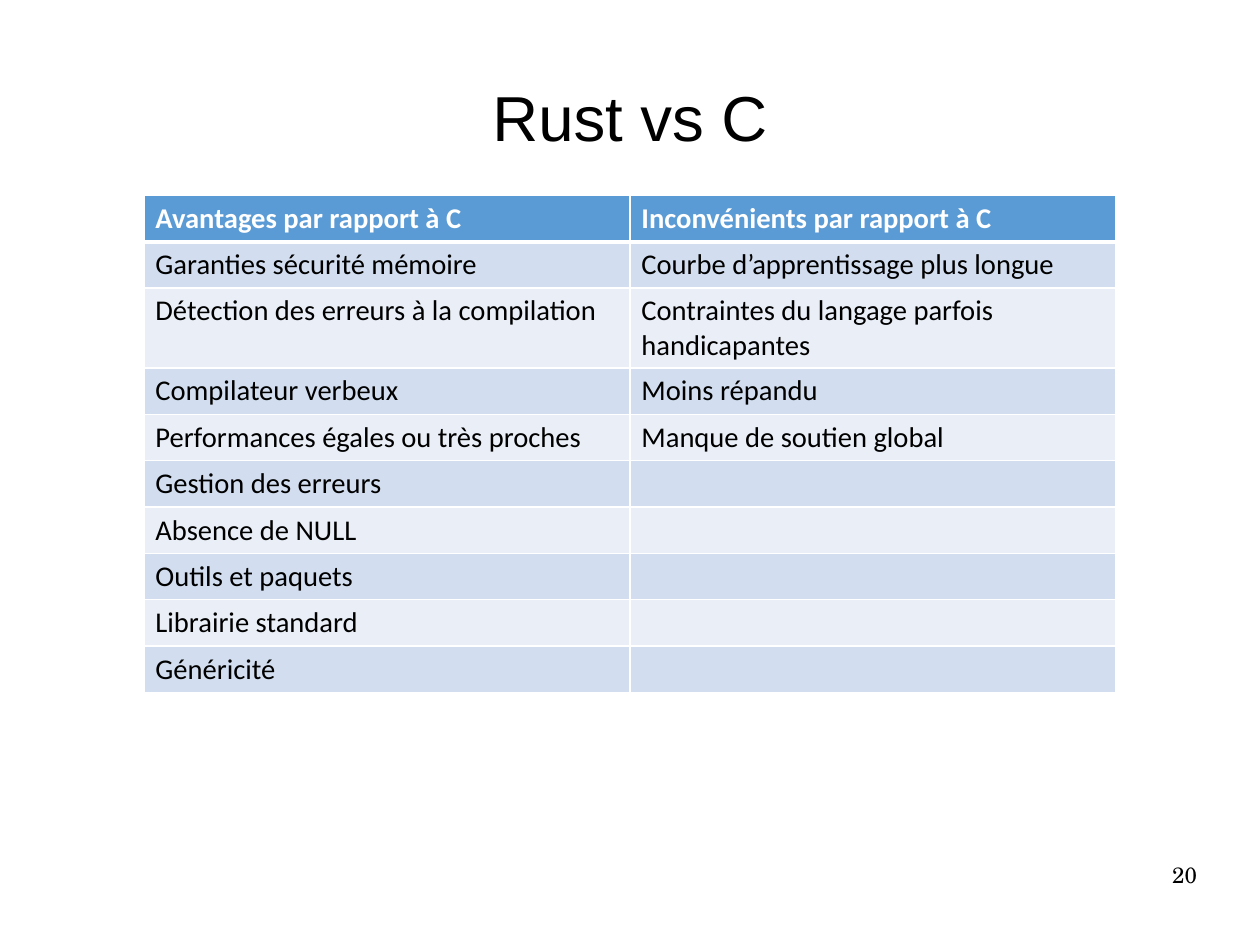
from itertools import zip_longest

from lxml.etree import SubElement
from pptx import Presentation
from pptx.dml.color import RGBColor
from pptx.enum.text import MSO_ANCHOR as Anchor, PP_ALIGN as Align
from pptx.oxml.ns import qn
from pptx.util import Cm, Pt

COLORS = {
    "black": "000000",
    "white": "FFFFFF",
    "header": "5B9BD5",
    "odd_row": "D2DEEF",
    "even_row": "EAEFF7",
}
ADVANTAGES = [
    "Avantages par rapport à C",
    "Garanties sécurité mémoire",
    "Détection des erreurs à la compilation",
    "Compilateur verbeux",
    "Performances égales ou très proches",
    "Gestion des erreurs",
    "Absence de NULL",
    "Outils et paquets",
    "Librairie standard",
    "Généricité",
]
DRAWBACKS = [
    "Inconvénients par rapport à C",
    "Courbe d’apprentissage plus longue",
    "Contraintes du langage parfois handicapantes",
    "Moins répandu",
    "Manque de soutien global",
]


class SlideBuilder:
    table_font = "Calibri"
    table_size = 18
    thin, thick = 1, 3

    def __init__(self, slide):
        self.slide = slide

    def add_run(self, paragraph, text, font, size, color="black", bold=False):
        run = paragraph.add_run()
        run.text = text
        run.font.name = font
        run.font.size = Pt(size)
        run.font.bold = bold
        run.font.color.rgb = RGBColor.from_string(COLORS[color])

    def add_text(self, box, text, font, size, align, anchor=Anchor.TOP):
        shape = self.slide.shapes.add_textbox(*map(Cm, box))
        frame = shape.text_frame
        frame.word_wrap = True
        frame.vertical_anchor = anchor
        frame.margin_left = frame.margin_right = 0
        frame.margin_top = frame.margin_bottom = 0
        paragraph = frame.paragraphs[0]
        paragraph.alignment = align
        self.add_run(paragraph, text, font, size)

    def add_borders(self, cell, top, bottom):
        properties = cell._tc.get_or_add_tcPr()
        widths = {"lnL": self.thin, "lnR": self.thin, "lnT": top, "lnB": bottom}
        for side, width in widths.items():
            line = SubElement(properties, qn(f"a:{side}"), w=str(Pt(width)))
            fill = SubElement(line, qn("a:solidFill"))
            SubElement(fill, qn("a:srgbClr"), val=COLORS["white"])

    def style_cell(self, cell, row, text):
        header = row == 0
        top = self.thick if row == 1 else self.thin
        self.add_borders(cell, top, self.thick if header else self.thin)
        fill = "header" if header else "odd_row" if row % 2 else "even_row"
        cell.fill.solid()
        cell.fill.fore_color.rgb = RGBColor.from_string(COLORS[fill])
        if text:
            self.add_run(cell.text_frame.paragraphs[0], text, self.table_font,
                         self.table_size, "white" if header else "black", header)

    def add_table(self, left, top, width, row_height, columns):
        rows = list(zip_longest(*columns, fillvalue=""))
        box = map(Cm, (left, top, width, row_height * len(rows)))
        table = self.slide.shapes.add_table(len(rows), len(columns), *box).table
        table.first_row = table.horz_banding = False
        for row, texts in enumerate(rows):
            table.rows[row].height = Cm(row_height)
            for column, text in enumerate(texts):
                self.style_cell(table.cell(row, column), row, text)


def main():
    presentation = Presentation()
    presentation.slide_width = Cm(28)
    presentation.slide_height = Cm(21)
    slide = presentation.slides.add_slide(presentation.slide_layouts[6])
    builder = SlideBuilder(slide)
    builder.add_text((1.4, 0.84, 25.2, 3.5), "Rust vs C", "Arial", 40,
                     Align.CENTER, Anchor.MIDDLE)
    builder.add_text((20.07, 19.13, 6.53, 1.45), "20", "TeX Gyre Schola", 14,
                     Align.RIGHT)
    builder.add_table(3.2, 4.34, 21.6, 1.03, [ADVANTAGES, DRAWBACKS])
    presentation.save("out.pptx")


if __name__ == "__main__":
    main()
